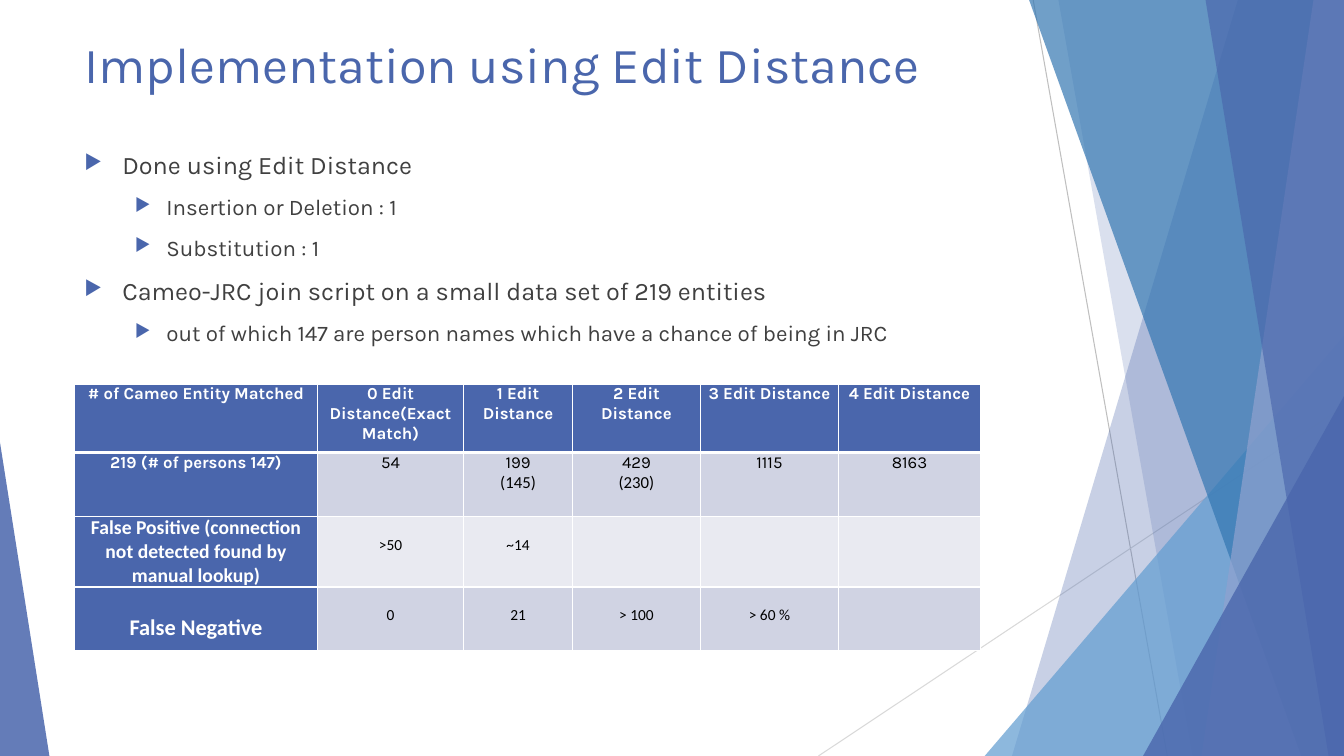
from lxml import etree
from pptx import Presentation
from pptx.dml.color import RGBColor
from pptx.enum.shapes import MSO_CONNECTOR, MSO_SHAPE
from pptx.enum.text import MSO_ANCHOR, PP_ALIGN
from pptx.oxml.ns import qn
from pptx.util import Pt

STRAIGHT = MSO_CONNECTOR.STRAIGHT
TRIANGLE = MSO_SHAPE.ISOSCELES_TRIANGLE
CENTER = PP_ALIGN.CENTER
TOP = MSO_ANCHOR.TOP

SLIDE_WIDTH, SLIDE_HEIGHT = 960, 540
BLUE, WHITE, BLACK, GRAY = "4A66AC", "FFFFFF", "000000", "404040"
BAND_DARK, BAND_LIGHT = "D0D3E3", "E9EAF1"

# Left margin and hanging indent, font size for each level
LEVELS = [(27, 27, 18), (58.5, 22.5, 16)]
BULLETS = [
    (0, "Done using Edit Distance"),
    (1, "Insertion or Deletion : 1"),
    (1, "Substitution : 1"),
    (0, "Cameo-JRC join script on a small data set of 219 entities"),
    (1, "out of which 147 are person names which have a chance of being in JRC"),
]

COLUMN_WIDTHS = [173.5, 104.4, 77.8, 91.4, 98.6, 101.5]
ROW_HEIGHTS = [48.7, 45.5, 39.6, 45.5]
TABLE_ROWS = [
    ["# of Cameo Entity Matched", "0 Edit Distance(Exact Match)", "1 Edit Distance",
     "2 Edit Distance", "3 Edit Distance", "4 Edit Distance"],
    ["219 (# of persons 147)", "54", "199\n(145)", "429\n(230)", "1115", "8163"],
    ["False Positive (connection not detected found by manual lookup)",
     ">50", "~14", "", "", ""],
    ["False Negative", "0", "21", "> 100", "> 60 %", ""],
]
# Font, size and line spacing of the first cell and of the other cells in each row
ROW_STYLES = [
    (("Karla", 12, 1), ("Karla", 12, 1)),
    (("Karla", 12, 1), ("Karla", 12, 1)),
    (("Calibri", 14, 1), ("Calibri", 11, 2)),
    (("Calibri", 16, 2), ("Calibri", 11, 2)),
]
ROW_FILLS = [BLUE, BAND_DARK, BAND_LIGHT, BAND_DARK]


def color(hex_string):
    return RGBColor.from_string(hex_string)


def add_child(parent, tag, **attributes):
    child = etree.SubElement(parent, qn(tag))
    for name, value in attributes.items():
        child.set(name, str(value))
    return child


def paint(shape, fill, opacity):
    """Give the shape a see-through fill, no line and no shadow."""
    shape.shadow.inherit = False
    shape.line.fill.background()
    shape.fill.solid()
    shape.fill.fore_color.rgb = color(fill)
    fill_color = shape.fill._xPr.find(qn("a:solidFill"))[0]
    add_child(fill_color, "a:alpha", val=opacity * 1000)


def add_line(slide, start, end, line_color):
    line = slide.shapes.add_connector(STRAIGHT, *map(Pt, start + end))
    line.line.color.rgb = color(line_color)
    line.line.width = Pt(0.75)
    add_child(line._element.spPr, "a:effectLst")


def add_panel(slide, top_x, bottom_x, fill, opacity):
    """Fill the slide from a slanted left edge to its right side."""
    builder = slide.shapes.build_freeform(Pt(top_x), 0)
    corners = [(SLIDE_WIDTH, 0), (SLIDE_WIDTH, SLIDE_HEIGHT), (bottom_x, SLIDE_HEIGHT)]
    builder.add_line_segments([(Pt(x), Pt(y)) for x, y in corners])
    paint(builder.convert_to_shape(), fill, opacity)


def add_triangle(slide, left, top, width, apex, fill, opacity):
    """Stand a triangle on the bottom edge; apex is 0 for left, 1 for right."""
    triangle = slide.shapes.add_shape(
        TRIANGLE, Pt(left), Pt(top), Pt(width), Pt(SLIDE_HEIGHT - top))
    triangle.adjustments[0] = apex
    paint(triangle, fill, opacity)


def add_decoration(slide):
    add_line(slide, (738, 0), (833.8, 540), "BFBFBF")
    add_line(slide, (960, 290.2), (584.6, 540), "D9D9D9")
    add_panel(slide, 884.2, 722.9, BLUE, 30)
    add_panel(slide, 756, 851.8, BLUE, 20)
    add_triangle(slide, 703.4, 239.8, 256.6, 1, "629DD1", 72)
    add_panel(slide, 735.1, 929.5, "3477B2", 70)
    add_panel(slide, 938.2, 858.2, "90A2CF", 70)
    add_panel(slide, 861.1, 949, BLUE, 65)
    add_triangle(slide, 816.5, 283, 143.5, 1, BLUE, 80)
    add_triangle(slide, 0, 316.1, 35.3, 0, BLUE, 85)


def format_paragraph(paragraph, font, size, text_color, bold=False):
    for run in paragraph.runs:
        run.font.name = font
        run.font.size = Pt(size)
        run.font.bold = bold
        run.font.color.rgb = color(text_color)


def add_text_frame(slide, left, top, width, height):
    box = slide.shapes.add_textbox(Pt(left), Pt(top), Pt(width), Pt(height))
    box.text_frame.word_wrap = True
    box.text_frame.vertical_anchor = TOP
    return box.text_frame


def add_title(slide, text):
    text_frame = add_text_frame(slide, 53.3, 20.2, 676.8, 103.7)
    text_frame.text = text
    format_paragraph(text_frame.paragraphs[0], "Karla", 36, BLUE)


def add_bullets(slide, bullets):
    text_frame = add_text_frame(slide, 53.3, 103, 676.8, 372.2)
    text_frame.text = "\n".join(text for _, text in bullets)
    for paragraph, (level, _) in zip(text_frame.paragraphs, bullets):
        margin, hanging, size = LEVELS[level]
        paragraph.level = level
        paragraph.space_before = Pt(10)
        format_paragraph(paragraph, "Karla", size, GRAY)
        properties = paragraph._p.get_or_add_pPr()
        properties.set("marL", str(Pt(margin)))
        properties.set("indent", str(-Pt(hanging)))
        add_child(add_child(properties, "a:buClr"), "a:srgbClr", val=BLUE)
        add_child(properties, "a:buSzPct", val=80000)
        add_child(properties, "a:buChar", char="▶")


def add_borders(cell, row):
    """Draw white borders, with a thick one under the header row."""
    widths = {"L": 1, "R": 1, "T": 3 if row == 1 else 1, "B": 3 if row == 0 else 1}
    properties = cell._tc.get_or_add_tcPr()
    for side, width in widths.items():
        line = add_child(properties, f"a:ln{side}", w=Pt(width))
        add_child(add_child(line, "a:solidFill"), "a:srgbClr", val=WHITE)


def fill_cell(cell, text, row, column):
    is_heading = row == 0 or column == 0
    font, size, spacing = ROW_STYLES[row][min(column, 1)]
    cell.margin_left = cell.margin_right = Pt(5)
    cell.margin_top = cell.margin_bottom = 0
    add_borders(cell, row)
    cell.fill.solid()
    cell.fill.fore_color.rgb = color(BLUE if is_heading else ROW_FILLS[row])
    cell.text_frame.text = text
    for index, paragraph in enumerate(cell.text_frame.paragraphs):
        paragraph.alignment = CENTER
        paragraph.line_spacing = float(spacing)
        format_paragraph(paragraph, "Calibri" if index else font, size,
                         WHITE if is_heading else BLACK, is_heading)


def add_results_table(slide):
    frame = slide.shapes.add_table(
        len(ROW_HEIGHTS), len(COLUMN_WIDTHS), Pt(53.3), Pt(274.6),
        Pt(sum(COLUMN_WIDTHS)), Pt(sum(ROW_HEIGHTS)))
    table = frame.table
    for column, width in zip(table.columns, COLUMN_WIDTHS):
        column.width = Pt(width)
    for row, height in zip(table.rows, ROW_HEIGHTS):
        row.height = Pt(height)
    for row, texts in enumerate(TABLE_ROWS):
        for column, text in enumerate(texts):
            fill_cell(table.cell(row, column), text, row, column)


def main():
    presentation = Presentation()
    presentation.slide_width = Pt(SLIDE_WIDTH)
    presentation.slide_height = Pt(SLIDE_HEIGHT)
    slide = presentation.slides.add_slide(presentation.slide_layouts[6])
    add_decoration(slide)
    add_title(slide, "Implementation using Edit Distance")
    add_bullets(slide, BULLETS)
    add_results_table(slide)
    presentation.save("out.pptx")


if __name__ == "__main__":
    main()
